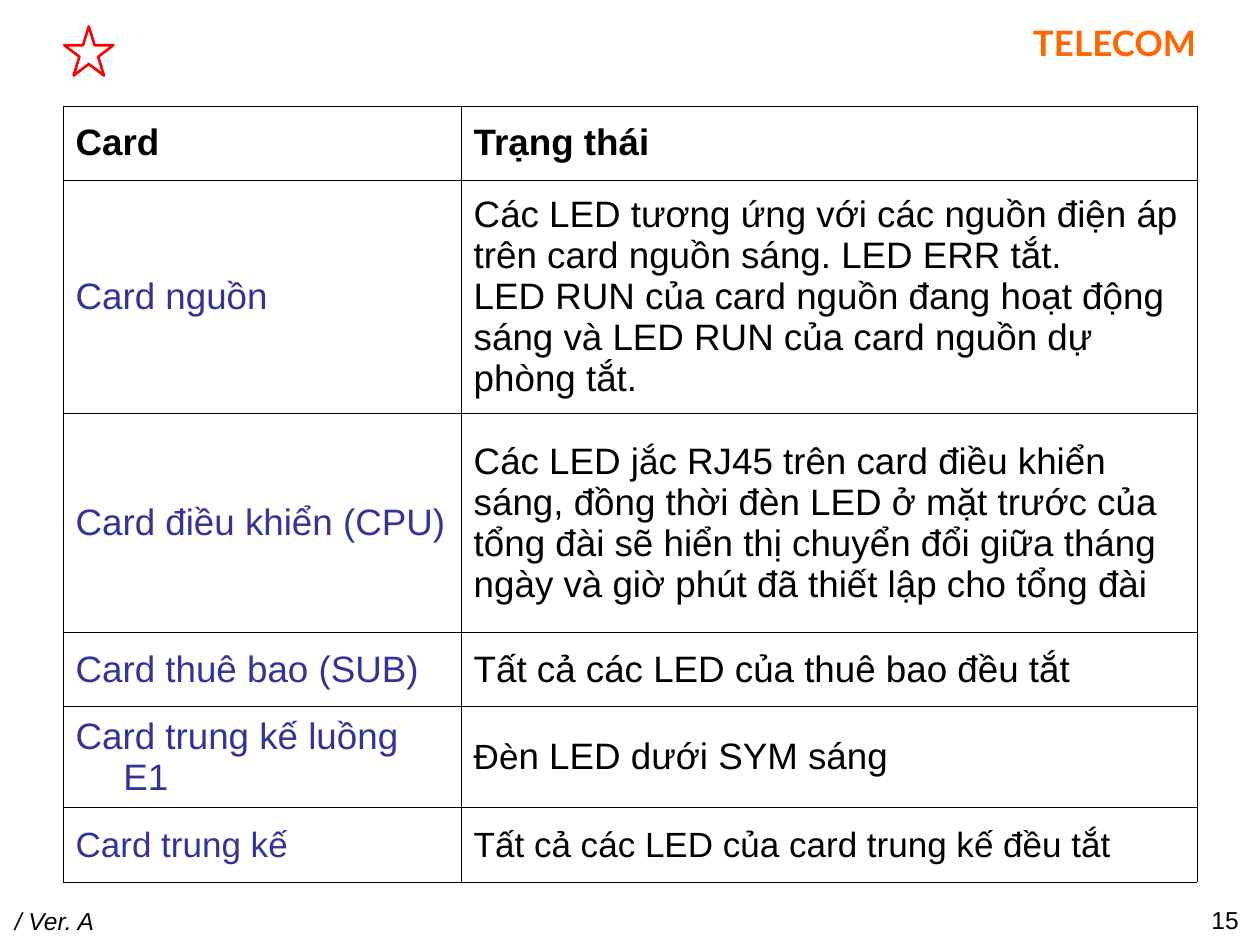
from lxml import etree
from pptx import Presentation
from pptx.dml.color import RGBColor
from pptx.enum.shapes import MSO_SHAPE
from pptx.enum.text import MSO_ANCHOR, PP_ALIGN
from pptx.oxml.ns import qn
from pptx.util import Inches, Pt

STAR = MSO_SHAPE.STAR_5_POINT
MIDDLE = MSO_ANCHOR.MIDDLE
LEFT, RIGHT = PP_ALIGN.LEFT, PP_ALIGN.RIGHT
COLORS = {
    "text": "000000",
    "card": "333399",
    "brand": "FF6600",
    "star": "FF0000",
    "paper": "FFFFFF",
}


def rgb(name):
    return RGBColor.from_string(COLORS[name])


def add_border(cell):
    properties = cell._tc.get_or_add_tcPr()
    for side in ("a:lnL", "a:lnR", "a:lnT", "a:lnB"):
        line = etree.SubElement(properties, qn(side), w=str(Pt(0.45)))
        fill = etree.SubElement(line, qn("a:solidFill"))
        etree.SubElement(fill, qn("a:srgbClr"), val=COLORS["text"])


prs = Presentation()
prs.slide_width, prs.slide_height = Inches(10), Inches(7.5)
slide = prs.slides.add_slide(prs.slide_layouts[6])

labels = [
    ("/ Ver. A", 0.02, 7.14, 2.86, 0.52, 14, "Arial", "text", False, True, LEFT),
    ("15", 7.6, 7.13, 2.33, 0.52, 14, "Arial", "text", False, False, RIGHT),
    ("TELECOM", 8.1, 0.12, 1.86, 0.71, 20, "Lato", "brand", True, False, LEFT),
]
for text, left, top, width, height, size, face, color, bold, italic, align in labels:
    label = slide.shapes.add_textbox(
        Inches(left), Inches(top), Inches(width), Inches(height)
    )
    label.text_frame.word_wrap = True
    paragraph = label.text_frame.paragraphs[0]
    paragraph.text = text
    paragraph.alignment = align
    font = paragraph.font
    font.name, font.size = face, Pt(size)
    font.bold, font.italic = bold, italic
    font.color.rgb = rgb(color)

star = slide.shapes.add_shape(
    STAR, Inches(0.51), Inches(0.21), Inches(0.39), Inches(0.39)
)
star.shadow.inherit = False
star.fill.solid()
star.fill.fore_color.rgb = rgb("paper")
star.line.color.rgb = rgb("star")
star.line.width = Pt(1.5)

column_widths = [3.16, 5.84]
rows = [
    (0.59, 21, "Card", ["Trạng thái"]),
    (1.85, 21, "Card nguồn", [
        "Các LED tương ứng với các nguồn điện áp",
        "trên card nguồn sáng. LED ERR tắt.",
        "LED RUN của card nguồn đang hoạt động",
        "sáng và LED RUN của card nguồn dự",
        "phòng tắt.",
    ]),
    (1.74, 21, "Card điều khiển (CPU)", [
        [("Các LED j", 21), ("ắ", 20), ("c RJ45 trên card điều khiển", 21)],
        "sáng, đồng thời đèn LED ở mặt trước của",
        "tổng đài sẽ hiển thị chuyển đổi giữa tháng",
        "ngày và giờ phút đã thiết lập cho tổng đài",
    ]),
    (0.59, 21, "Card thuê bao (SUB)", ["Tất cả các LED của thuê bao đều tắt"]),
    (0.8, 21, "Card trung kế luồng E1", [
        [("Đè", 20), ("n LED dưới SYM sáng", 21)],
    ]),
    (0.59, 20, "Card trung kế", ["Tất cả các LED của card trung kế đều tắt"]),
]

status_table = slide.shapes.add_table(
    len(rows), len(column_widths), Inches(0.5), Inches(0.84), Inches(9), Inches(6.16)
).table
for column, width in zip(status_table.columns, column_widths):
    column.width = Inches(width)

for row_index, (height, size, card, status) in enumerate(rows):
    status_table.rows[row_index].height = Inches(height)
    is_header = row_index == 0
    for column_index, lines in enumerate([[card], status]):
        cell = status_table.cell(row_index, column_index)
        add_border(cell)
        cell.fill.background()
        cell.vertical_anchor = MIDDLE
        cell.margin_left = cell.margin_right = Inches(0.1)
        cell.margin_top = cell.margin_bottom = Inches(0.05)
        is_card = column_index == 0 and not is_header
        for line_index, line in enumerate(lines):
            frame = cell.text_frame
            paragraph = frame.add_paragraph() if line_index else frame.paragraphs[0]
            indent = paragraph._p.get_or_add_pPr()
            indent.set("marL", str(Inches(0.38)))
            indent.set("indent", str(-Inches(0.38)))
            font = paragraph.font
            font.name, font.size, font.bold = "Arial", Pt(size), is_header
            font.color.rgb = rgb("card" if is_card else "text")
            for text, run_size in [(line, size)] if isinstance(line, str) else line:
                run = paragraph.add_run()
                run.text = text
                if run_size != size:
                    run.font.size = Pt(run_size)

prs.save("out.pptx")
